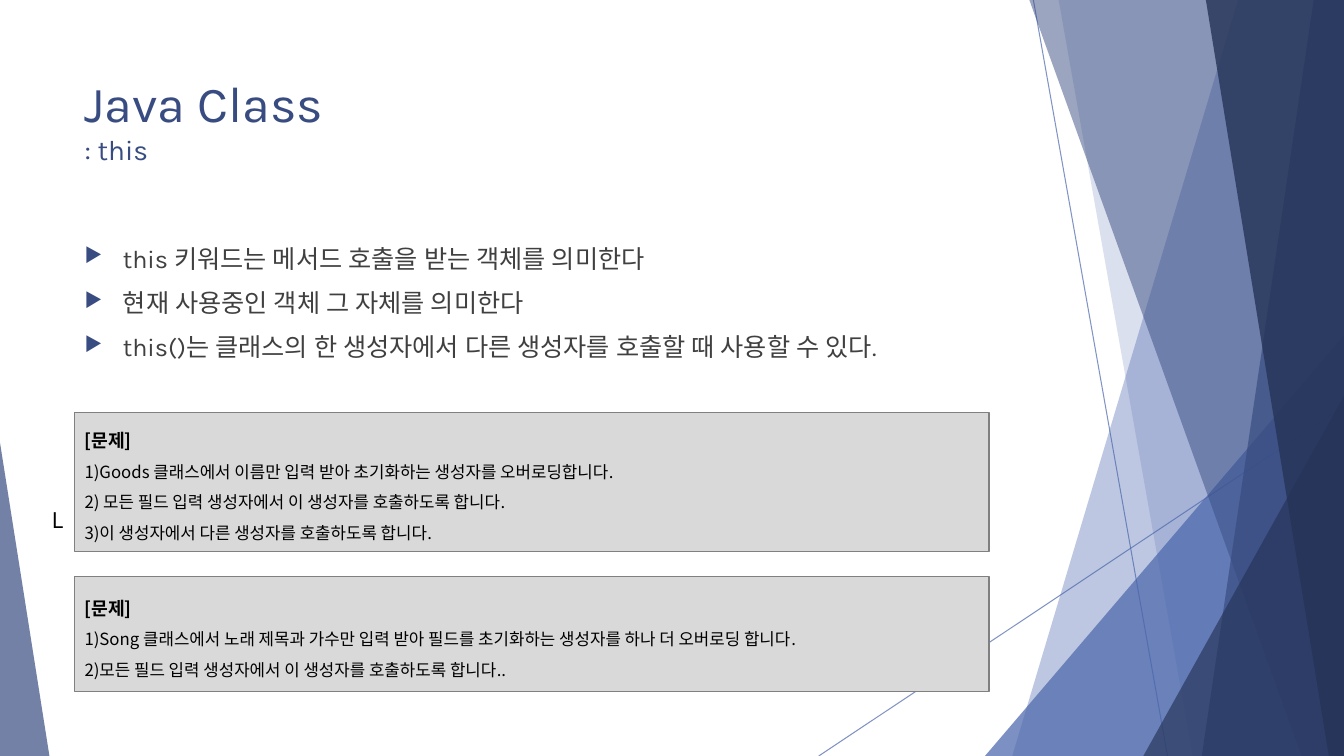
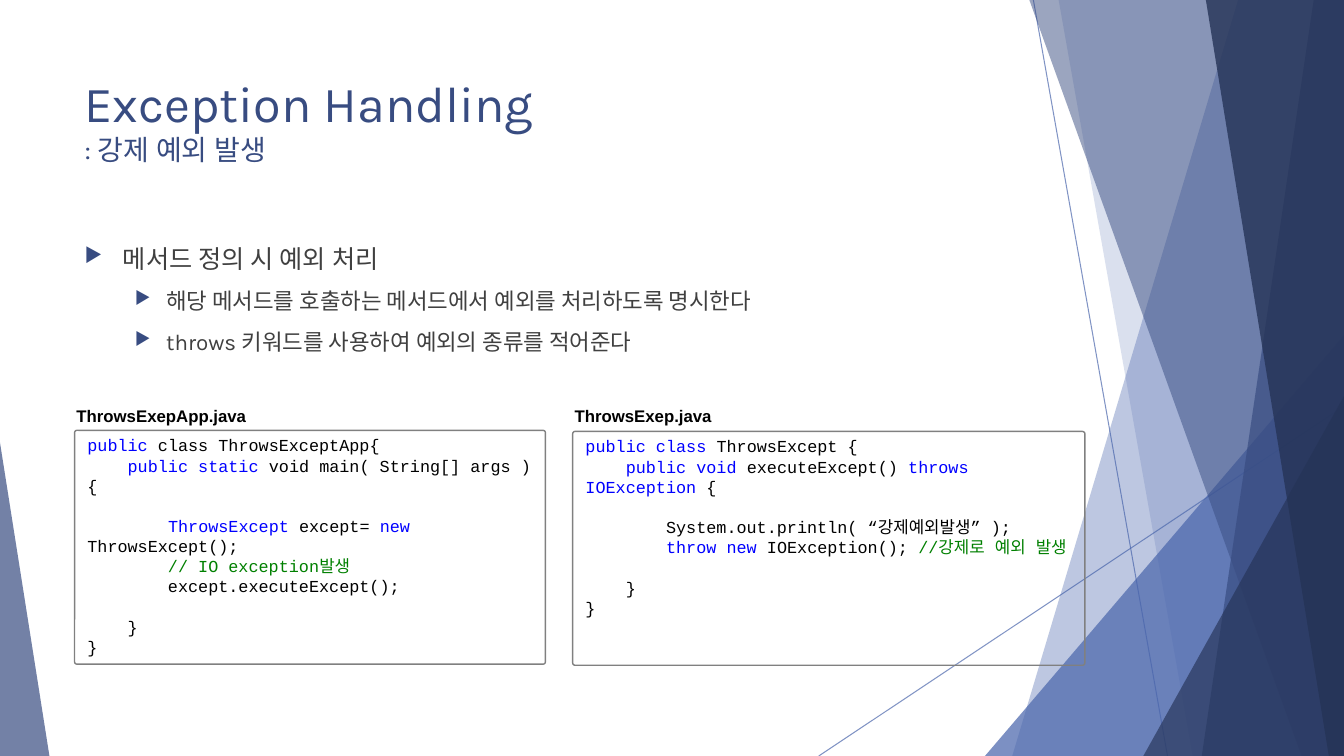
from lxml import etree
from pptx import Presentation
from pptx import util as u
from pptx.dml.color import RGBColor
from pptx.enum import shapes, text
from pptx.oxml.ns import qn

WIDTH, HEIGHT = 13.33, 7.5
BLUE, NAVY, DARK = "4A66AC", "384C81", "253356"
BLACK, BODY, GRAY, PALE = "000000", "404040", "808080", "D9D9D9"
KEYWORD, COMMENT = "0000FF", "008000"
MAIN, KOREAN, CODE, LABEL = "Karla", "Noto Sans CJK KR", "Courier New", "Arial"
LEFT, MAIN_WIDTH, BOX_WIDTH = 5.55, 70.52, 68.04

SLANTS = [
    (92.12, 75.32, BLUE, 36),
    (78.77, 88.75, BLUE, 20),
    (73.29, 44.4, 26.71, 1, BLUE, 72),
    (76.59, 96.85, NAVY, 50),
    (97.75, 89.42, NAVY, 70),
    (89.72, 98.87, DARK, 80),
    (85.07, 52.4, 14.93, 1, DARK, 66),
    (0, 58.53, 3.68, 0, NAVY, 70),
]

APP_CODE = [
    [("public", KEYWORD), (" class ThrowsExceptApp{", BLACK)],
    [("    public static", KEYWORD), (" void main( String[] args ) {", BLACK)],
    [("\n        ", BLACK), ("ThrowsExcept", KEYWORD), (" except= ", BLACK),
     ("new ", KEYWORD), ("ThrowsExcept();", BLACK)],
    [("        // IO exception발생", COMMENT)],
    [("        except.executeExcept();", BLACK)],
    [("\n    }", BLACK)],
    [("}", BLACK)],
]
THROWS_CODE = [
    [("public class ", KEYWORD), ("ThrowsExcept {", BLACK)],
    [("    public void ", KEYWORD), ("executeExcept() ", BLACK),
     ("throws IOException", KEYWORD), (" {", BLACK)],
    [("\n        System.out.println( “강제예외발생” );", BLACK)],
    [("        throw new ", KEYWORD), ("IOException(); ", BLACK),
     ("//강제로 예외 발생", COMMENT)],
    [("\n    }", BLACK)],
    [("}", BLACK)],
]


def across(share):
    """Turn a percentage of the slide width into a length."""
    return u.Inches(WIDTH * share / 100)


def down(share):
    """Turn a percentage of the slide height into a length."""
    return u.Inches(HEIGHT * share / 100)


def area(left, top, width, height):
    """Turn four percentages into a position and a size."""
    return across(left), down(top), across(width), down(height)


def rgb(code):
    """Return the colour of a hex string."""
    return RGBColor.from_string(code)


def fade(shape, percent):
    """Set the opacity of every colour of a shape."""
    for color in shape.element.spPr.iter(qn("a:srgbClr")):
        etree.SubElement(color, qn("a:alpha"), val=str(percent * 1000))


def paint(shape, fill=None, line=None):
    """Give a shape a flat fill and a thin outline, or none."""
    shape.shadow.inherit = False
    if fill:
        shape.fill.solid()
        shape.fill.fore_color.rgb = rgb(fill)
    else:
        shape.fill.background()
    if line:
        shape.line.color.rgb = rgb(line)
        shape.line.width = u.Pt(1)
    else:
        shape.line.fill.background()


def add_slant(page, top_x, bottom_x, color, opacity):
    """Draw a band from a slanted edge to the right side of the slide."""
    builder = page.shapes.build_freeform(across(top_x), 0)
    builder.add_line_segments([(across(100), 0), (across(100), down(100)),
                               (across(bottom_x), down(100))])
    band = builder.convert_to_shape()
    paint(band, color)
    fade(band, opacity)


def add_triangle(page, left, top, width, apex, color, opacity):
    """Draw a triangle that stands on the lower edge of the slide."""
    triangle = page.shapes.add_shape(shapes.MSO_SHAPE.ISOSCELES_TRIANGLE,
                                     *area(left, top, width, 100 - top))
    triangle.adjustments[0] = apex
    paint(triangle, color)
    fade(triangle, opacity)


def add_hairline(page, x1, y1, x2, y2):
    """Draw a thin translucent line."""
    line = page.shapes.add_connector(shapes.MSO_CONNECTOR.STRAIGHT,
                                     across(x1), down(y1), across(x2), down(y2))
    line.line.color.rgb = rgb(BLUE)
    line.line.width = u.Pt(0.75)
    fade(line, 70)
    etree.SubElement(line.element.spPr, qn("a:effectLst"))


def add_backdrop(page):
    """Draw the facets shared by all slides."""
    add_hairline(page, 76.89, 0, 86.87, 100)
    add_hairline(page, 100, 53.73, 60.92, 100)
    for slant in SLANTS:
        (add_slant if len(slant) == 4 else add_triangle)(page, *slant)


def add_span(para, words, size, font, color, bold=False):
    """Add a run, turning newlines into line breaks."""
    for index, piece in enumerate(words.split("\n")):
        if index:
            para.add_line_break()
        if piece:
            span = para.add_run()
            span.text = piece
            span.font.size = u.Pt(size)
            span.font.bold = bold
            span.font.name = font
            span.font.color.rgb = rgb(color)
            etree.SubElement(span.font._element, qn("a:ea"), typeface=font)


def add_paras(frame, count):
    """Return the given number of left-aligned paragraphs of a frame."""
    paras = [frame.paragraphs[0]] + [frame.add_paragraph() for _ in range(count - 1)]
    for para in paras:
        para.alignment = text.PP_ALIGN.LEFT
    return paras


def add_text(page, place, wrap=True):
    """Add an empty text box and return its frame."""
    frame = page.shapes.add_textbox(*area(*place)).text_frame
    frame.word_wrap = wrap
    return frame


def add_title(page, title, subtitle):
    """Write the title with its smaller second line."""
    para = add_paras(add_text(page, (LEFT, 8.93, MAIN_WIDTH, 19.2)), 1)[0]
    add_span(para, title + "\n", 36, MAIN, NAVY)
    add_span(para, subtitle, 20, MAIN, NAVY)


def add_arrow_bullet(para, margin, hang):
    """Give a paragraph a hanging triangular bullet."""
    props = para._p.get_or_add_pPr()
    props.set("marL", str(u.Inches(margin)))
    props.set("indent", str(-u.Inches(hang)))
    color = etree.SubElement(props, qn("a:buClr"))
    etree.SubElement(color, qn("a:srgbClr"), val=NAVY)
    etree.SubElement(props, qn("a:buSzPct"), val="80000")
    etree.SubElement(props, qn("a:buChar"), char="▶")


def add_bullets(page, items):
    """Write the bulleted body from pairs of level and wording."""
    frame = add_text(page, (LEFT, 31.47, MAIN_WIDTH, 56.53))
    for index, (para, (level, words)) in enumerate(zip(add_paras(frame, len(items)), items)):
        add_arrow_bullet(para, *((0.81, 0.31) if level else (0.38, 0.38)))
        para.level = level
        para.space_before = u.Pt(10 if index else 0)
        add_span(para, words, 16 if level else 18, MAIN, BODY)


def add_problem(page, top, height, tasks):
    """Draw a grey box with a heading and numbered tasks."""
    box = page.shapes.add_shape(shapes.MSO_SHAPE.RECTANGLE,
                                *area(LEFT, top, BOX_WIDTH, height))
    paint(box, PALE, GRAY)
    frame = box.text_frame
    frame.word_wrap = True
    frame.vertical_anchor = text.MSO_ANCHOR.MIDDLE
    heading, *paras = add_paras(frame, len(tasks) + 1)
    add_span(heading, "[문제]", 13, KOREAN, BLACK, bold=True)
    for para, task in zip(paras, tasks):
        etree.SubElement(para._p.get_or_add_pPr(), qn("a:buAutoNum"), type="arabicParenR")
        add_span(para, task, 12, KOREAN, BLACK)
    for para in [heading] + paras:
        para.line_spacing = u.Pt(21.8)


def add_listing(page, name, left, top, width, lines):
    """Draw a framed code listing under its file name."""
    box = page.shapes.add_shape(shapes.MSO_SHAPE.ROUNDED_RECTANGLE,
                                *area(left, top, width, 30.93))
    box.adjustments[0] = 0.01
    paint(box, line=GRAY)
    frame = box.text_frame
    frame.word_wrap = True
    frame.vertical_anchor = text.MSO_ANCHOR.TOP
    frame.margin_left = frame.margin_right = u.Inches(0.12)
    frame.margin_top = frame.margin_bottom = u.Inches(0.04)
    for para, spans in zip(add_paras(frame, len(lines)), lines):
        para.line_spacing = u.Pt(14.4)
        for words, color in spans:
            add_span(para, words, 12, CODE, color)
    label = add_paras(add_text(page, (left - 0.6, 53.07, 14.7, 4)), 1)[0]
    add_span(label, name, 12, LABEL, BLACK, bold=True)


def add_page(deck, title, subtitle, bullets):
    """Add a slide with the backdrop, title and bullets."""
    page = deck.slides.add_slide(deck.slide_layouts[6])
    add_backdrop(page)
    add_title(page, title, subtitle)
    add_bullets(page, bullets)
    return page


def main():
    """Build and save the deck."""
    deck = Presentation()
    deck.slide_width, deck.slide_height = across(100), down(100)

    page = add_page(deck, "Java Class", ": this", [
        (0, "this 키워드는 메서드 호출을 받는 객체를 의미한다"),
        (0, "현재 사용중인 객체 그 자체를 의미한다"),
        (0, "this()는 클래스의 한 생성자에서 다른 생성자를 호출할 때 사용할 수 있다."),
    ])
    add_problem(page, 54.53, 18.4, [
        "Goods 클래스에서 이름만 입력 받아 초기화하는 생성자를 오버로딩합니다.",
        " 모든 필드 입력 생성자에서 이 생성자를 호출하도록 합니다.",
        "이 생성자에서 다른 생성자를 호출하도록 합니다.",
    ])
    add_problem(page, 76.27, 15.2, [
        "Song 클래스에서 노래 제목과 가수만 입력 받아 필드를 초기화하는 생성자를 하나 더 오버로딩 합니다.",
        "모든 필드 입력 생성자에서 이 생성자를 호출하도록 합니다..",
    ])
    letter = add_paras(add_text(page, (3.08, 65.87, 2.48, 5.33), wrap=False), 1)[0]
    add_span(letter, "L", 18, MAIN, BLACK)

    page = add_page(deck, "Exception Handling", ": 강제 예외 발생", [
        (0, "메서드 정의 시 예외 처리"),
        (1, "해당 메서드를 호출하는 메서드에서 예외를 처리하도록 명시한다"),
        (1, "throws 키워드를 사용하여 예외의 종류를 적어준다"),
    ])
    add_listing(page, "ThrowsExepApp.java", LEFT, 56.93, 35.03, APP_CODE)
    add_listing(page, "ThrowsExep.java", 42.61, 57.07, 38.11, THROWS_CODE)

    deck.save("out.pptx")


if __name__ == "__main__":
    main()
